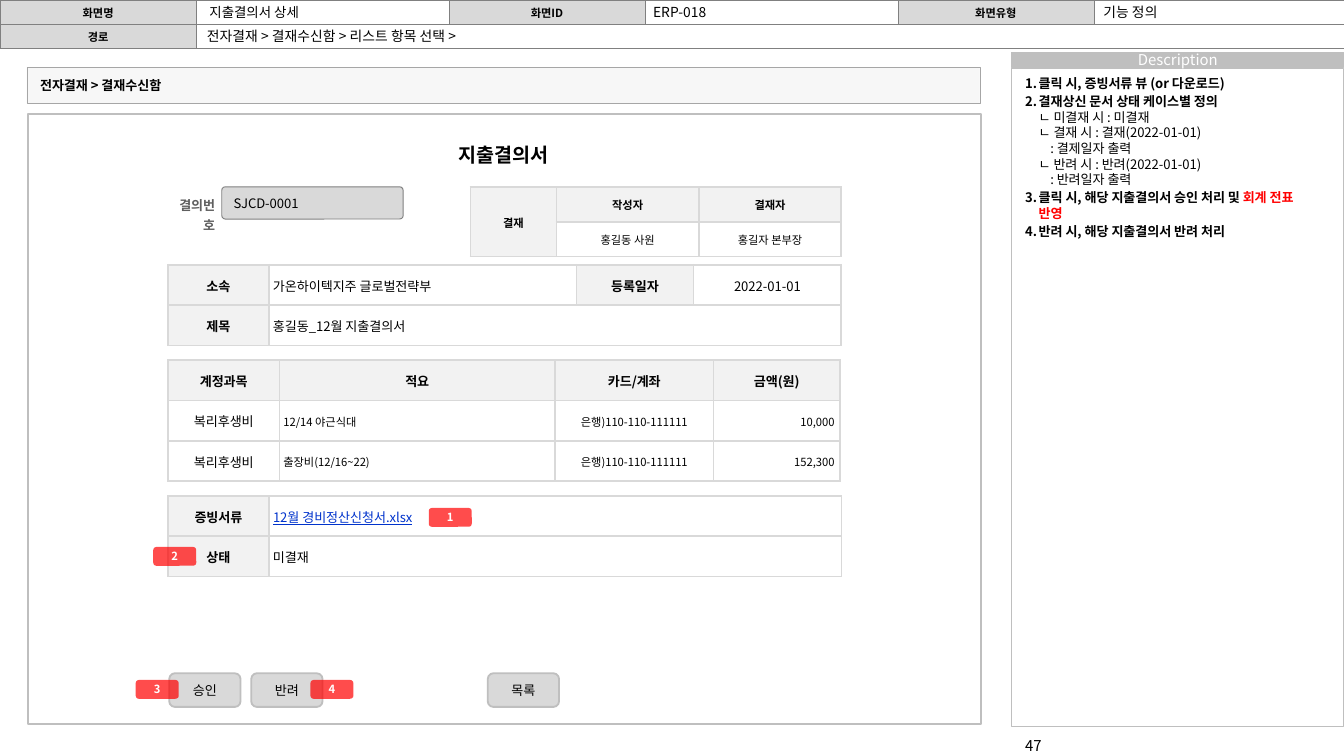
import pptx
import pptx.util
import pptx.dml.color
import pptx.enum.shapes
import pptx.enum.text
import pptx.oxml.ns
import lxml.etree

Inches = pptx.util.Inches
Pt = pptx.util.Pt
qn = pptx.oxml.ns.qn
ALIGN = pptx.enum.text.PP_ALIGN
ANCHOR = pptx.enum.text.MSO_ANCHOR
SHAPE = pptx.enum.shapes.MSO_SHAPE

COLORS = {
    "black": "000000", "white": "FFFFFF", "label": "5F5F5F", "link": "0033CC",
    "red": "FF0000", "silver": "BFBFBF", "gray": "808080", "bar": "A6A6A6",
    "button": "D9D9D9", "head": "F2F2F2",
}
CELLS = {
    "header": dict(size=6, bold=True, fill="button", insets=(0.04, 0.03, 0.04, 0.03)),
    "blank": dict(size=6, fill="white", insets=(0.04, 0.03, 0.04, 0.03)),
    "head": dict(bold=True, fill="head"),
    "small head": dict(size=6, bold=True, fill="head"),
    "center": dict(),
    "small center": dict(size=6),
    "left": dict(align=ALIGN.LEFT),
    "small left": dict(size=6, align=ALIGN.LEFT),
    "link": dict(align=ALIGN.LEFT, color="link", underline=True),
    "money": dict(size=6, align=ALIGN.RIGHT, insets=(0.12, 0.01, 0.04, 0)),
}


class Screen:
    font = "Noto Sans CJK KR"

    def __init__(self, deck):
        self.page = deck.slides.add_slide(deck.slide_layouts[6])

    def rgb(self, name):
        return pptx.dml.color.RGBColor.from_string(COLORS[name])

    def span(self, para, text, size=7, bold=False, color="black", underline=False):
        span = para.add_run()
        span.text = text
        font = span.font
        font.name, font.size, font.bold = self.font, Pt(size), bold
        font.color.rgb = self.rgb(color)
        if underline:
            font.underline = True
        props = span._r.get_or_add_rPr()
        lxml.etree.SubElement(props, qn("a:ea"), typeface=self.font)

    def frame(self, box, insets, anchor):
        frame = box.text_frame
        frame.word_wrap = True
        frame.vertical_anchor = anchor
        (frame.margin_left, frame.margin_top,
         frame.margin_right, frame.margin_bottom) = map(Inches, insets)
        return frame

    def text(self, at, text, align=ALIGN.LEFT, insets=(0.1, 0.05, 0.1, 0.05),
             anchor=ANCHOR.MIDDLE, spacing=None, **style):
        box = self.page.shapes.add_textbox(*map(Inches, at))
        para = self.frame(box, insets, anchor).paragraphs[0]
        para.alignment = align
        if spacing:
            para.line_spacing = spacing
        self.span(para, text, **style)

    def shape(self, at, fill=None, line=None, width=0.5, text=None, align=ALIGN.CENTER,
              insets=(0, 0, 0, 0), kind=SHAPE.RECTANGLE, corner=None, alpha=None, **style):
        box = self.page.shapes.add_shape(kind, *map(Inches, at))
        box.shadow.inherit = False
        if corner:
            box.adjustments[0] = corner
        if fill:
            box.fill.solid()
            box.fill.fore_color.rgb = self.rgb(fill)
        else:
            box.fill.background()
        if alpha:
            color = box._element.spPr.find(qn("a:solidFill"))[0]
            lxml.etree.SubElement(color, qn("a:alpha"), val=str(alpha * 1000))
        if line:
            box.line.color.rgb = self.rgb(line)
            box.line.width = Pt(width)
        else:
            box.line.fill.background()
        if text:
            para = self.frame(box, insets, ANCHOR.MIDDLE).paragraphs[0]
            para.alignment = align
            self.span(para, text, **style)

    def button(self, left, text):
        self.shape((left, 5.01, 0.53, 0.25), "button", "silver", 1, text,
                   kind=SHAPE.ROUNDED_RECTANGLE)

    def badge(self, left, top, text):
        self.shape((left, top, 0.32, 0.14), "red", text=text, alpha=70, size=6, bold=True,
                   color="white", kind=SHAPE.ROUNDED_RECTANGLE)

    def cell(self, cell, text, border, width, size=7, align=ALIGN.CENTER, fill=None,
             insets=(0.01, 0.01, 0.01, 0), **style):
        (cell.margin_left, cell.margin_top,
         cell.margin_right, cell.margin_bottom) = map(Inches, insets)
        cell.vertical_anchor = ANCHOR.MIDDLE
        if fill:
            cell.fill.solid()
            cell.fill.fore_color.rgb = self.rgb(fill)
        else:
            cell.fill.background()
        para = cell.text_frame.paragraphs[0]
        para.alignment = align
        if text:
            label = text.lstrip()
            if label != text:
                self.span(para, " ", size=size)
            self.span(para, label, size=size, **style)
        else:
            lxml.etree.SubElement(para._p, qn("a:endParaRPr"), sz=str(size * 100))
        props = cell._tc.get_or_add_tcPr()
        for index, side in enumerate(("lnL", "lnR", "lnT", "lnB")):
            line = lxml.etree.Element(qn("a:" + side), w=str(int(Pt(width))))
            paint = lxml.etree.SubElement(line, qn("a:solidFill"))
            lxml.etree.SubElement(paint, qn("a:srgbClr"), val=COLORS[border])
            props.insert(index, line)

    def table(self, left, top, columns, height, rows, merge=None, border="button", width=1):
        box = self.page.shapes.add_table(
            len(rows), len(columns), Inches(left), Inches(top),
            Inches(sum(columns)), Inches(height * len(rows)))
        table = box.table
        table.first_row = table.horz_banding = False
        for column, size in zip(table.columns, columns):
            column.width = Inches(size)
        for r, row in enumerate(rows):
            table.rows[r].height = Inches(height)
            for c, (text, kind) in enumerate(row):
                self.cell(table.cell(r, c), text, border, width, **CELLS[kind])
        if merge:
            first, last = merge
            table.cell(*first).merge(table.cell(*last))

    def notes(self, at, items):
        box = self.page.shapes.add_textbox(*map(Inches, at))
        frame = self.frame(box, (0.1, 0.05, 0.2, 0.05), ANCHOR.TOP)
        for index, (spans, details) in enumerate(items):
            para = frame.add_paragraph() if index else frame.paragraphs[0]
            para.space_before = Pt(1.4)
            props = para._p.get_or_add_pPr()
            props.set("marL", str(Inches(0.1)))
            props.set("indent", str(-Inches(0.1)))
            lxml.etree.SubElement(props, qn("a:buFont"), typeface=self.font)
            lxml.etree.SubElement(props, qn("a:buAutoNum"), type="arabicPeriod")
            for text, color in spans:
                self.span(para, text, bold=True, color=color)
            for detail in details:
                para.add_line_break()
                self.span(para, detail)


def main():
    deck = pptx.Presentation()
    deck.slide_width = Inches(10)
    deck.slide_height = deck.slide_width * 9 // 16
    screen = Screen(deck)

    screen.shape((7.53, 0.51, 2.47, 4.9), line="silver")
    screen.shape((7.53, 0.39, 2.47, 0.11), "silver", "silver", text="Description",
                 size=8, color="white")
    blank = ("", "blank")
    screen.table(0, 0, [1.46, 1.88] * 3, 0.18, [
        [("화면명", "header"), blank, ("화면ID", "header"), blank, ("화면유형", "header"), blank],
        [("경로", "header")] + [blank] * 5,
    ], merge=((1, 1), (1, 5)), border="gray", width=0.25)
    screen.text((7.53, 5.43, 1.5, 0.24), "47", size=8)
    screen.text((1.46, 0, 1.89, 0.18), "지출결의서 상세", size=7.2)
    for at, text in (((4.78, 0, 1.87, 0.18), "ERP-018"),
                     ((8.13, 0, 1.85, 0.18), "기능 정의"),
                     ((1.46, 0.18, 8.54, 0.18), "전자결재 > 결재수신함 > 리스트 항목 선택 >")):
        screen.text(at, text, size=7.4, insets=(0.08, 0.04, 0.08, 0.04))

    screen.notes((7.53, 0.51, 2.48, 4.9), [
        ([("클릭 시, 증빙서류 뷰 (or 다운로드)", "black")], []),
        ([("결재상신 문서 상태 케이스별 정의", "black")],
         ["ㄴ 미결재 시 : 미결재", "ㄴ 결재 시 : 결재(2022-01-01)", "    : 결제일자 출력",
          "ㄴ 반려 시 : 반려(2022-01-01)", "    : 반려일자 출력"]),
        ([("클릭 시, 해당 지출결의서 승인 처리 및 ", "black"), ("회계 전표 반영", "red")], []),
        ([("반려 시, 해당 지출결의서 반려 처리", "black")], []),
    ])

    screen.shape((0.2, 0.5, 7.09, 0.27), "head", "bar", 0.25, "전자결재 > 결재수신함",
                 align=ALIGN.LEFT, insets=(0.1, 0.05, 0.1, 0.05), alpha=60, bold=True)
    screen.shape((0.21, 0.85, 7.09, 4.54), "white", "silver", 1)
    screen.text((3.03, 1.01, 1.43, 0.28), "지출결의서", align=ALIGN.CENTER, size=10.5, bold=True)
    screen.shape((1.65, 1.39, 1.35, 0.24), "button", "gray", 0.5, "SJCD-0001",
                 align=ALIGN.LEFT, insets=(0.08, 0.03, 0.08, 0.03),
                 kind=SHAPE.ROUNDED_RECTANGLE, corner=0.11)
    screen.text((1.25, 1.44, 0.35, 0.14), "결의번호", align=ALIGN.RIGHT, insets=(0, 0, 0, 0),
                anchor=ANCHOR.TOP, spacing=1.25, bold=True, color="label")

    screen.table(3.5, 1.39, [0.64, 1.06, 1.06], 0.26, [
        [(text, "small head") for text in ("결재", "작성자", "결재자")],
        [("", "small head"), ("홍길동 사원", "small center"), ("홍길자 본부장", "small center")],
    ], merge=((0, 0), (1, 0)))
    screen.table(1.25, 1.97, [0.75, 2.29, 0.87, 1.1], 0.3, [
        [("소속", "head"), (" 가온하이텍지주 글로벌전략부", "left"),
         ("등록일자", "head"), ("2022-01-01", "center")],
        [("제목", "head"), (" 홍길동_12월 지출결의서", "left"), ("", "left"), ("", "left")],
    ], merge=((1, 1), (1, 3)))
    expenses = [(" 12/14 야근식대", "10,000"), (" 출장비(12/16~22)", "152,300")]
    screen.table(1.25, 2.68, [0.83, 2.05, 1.18, 0.94], 0.3, [
        [(text, "head") for text in ("계정과목", "적요", "카드/계좌", "금액(원)")]
    ] + [
        [("복리후생비", "center"), (summary, "small left"),
         ("은행)110-110-111111", "small center"), (amount, "money")]
        for summary, amount in expenses
    ])
    for top, title, value, kind in ((3.69, "증빙서류", " 12월 경비정산신청서.xlsx", "link"),
                                    (3.99, "상태", " 미결재", "left")):
        screen.table(1.25, top, [0.75, 4.26], 0.3, [[(title, "head"), (value, kind)]])

    for left, text in ((3.63, "목록"), (1.26, "승인"), (1.87, "반려")):
        screen.button(left, text)
    for left, top, text in ((3.19, 3.78, "1"), (1.14, 4.07, "2"),
                            (1.01, 5.06, "3"), (2.31, 5.06, "4")):
        screen.badge(left, top, text)

    deck.save("out.pptx")


if __name__ == "__main__":
    main()
